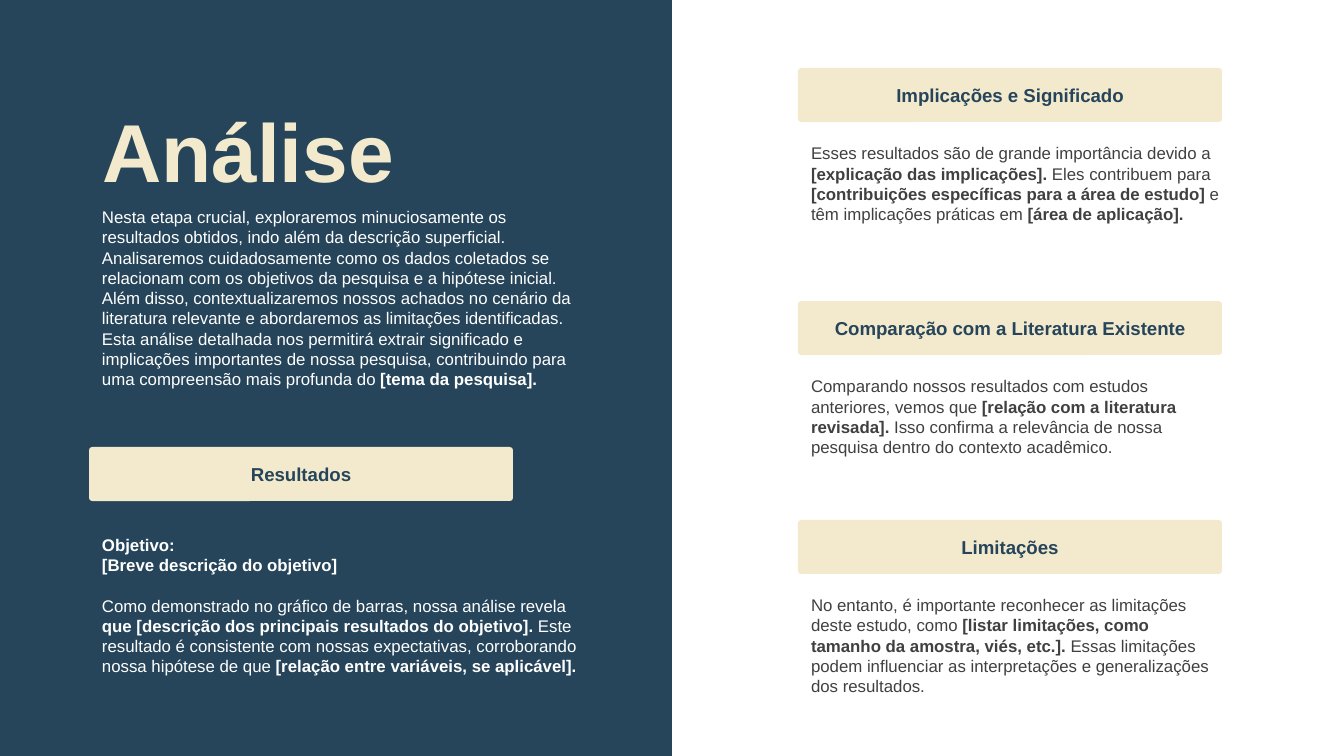
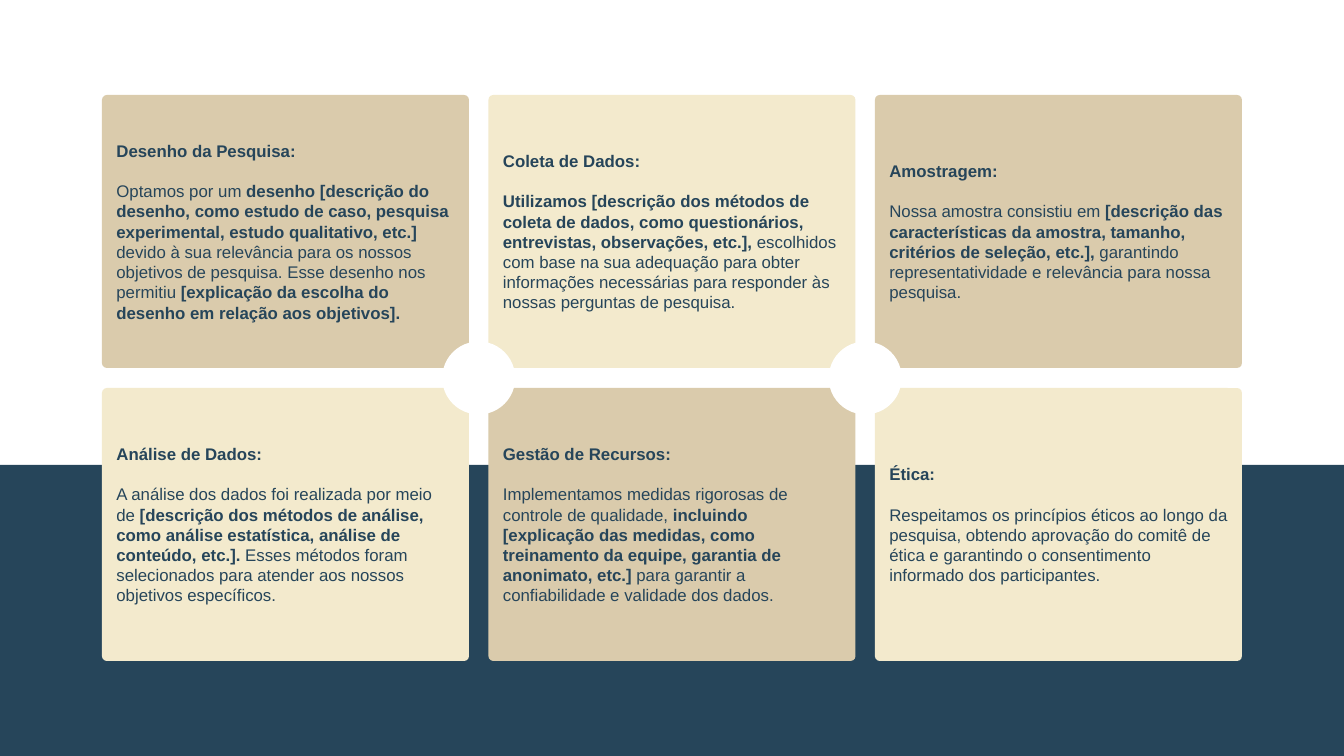
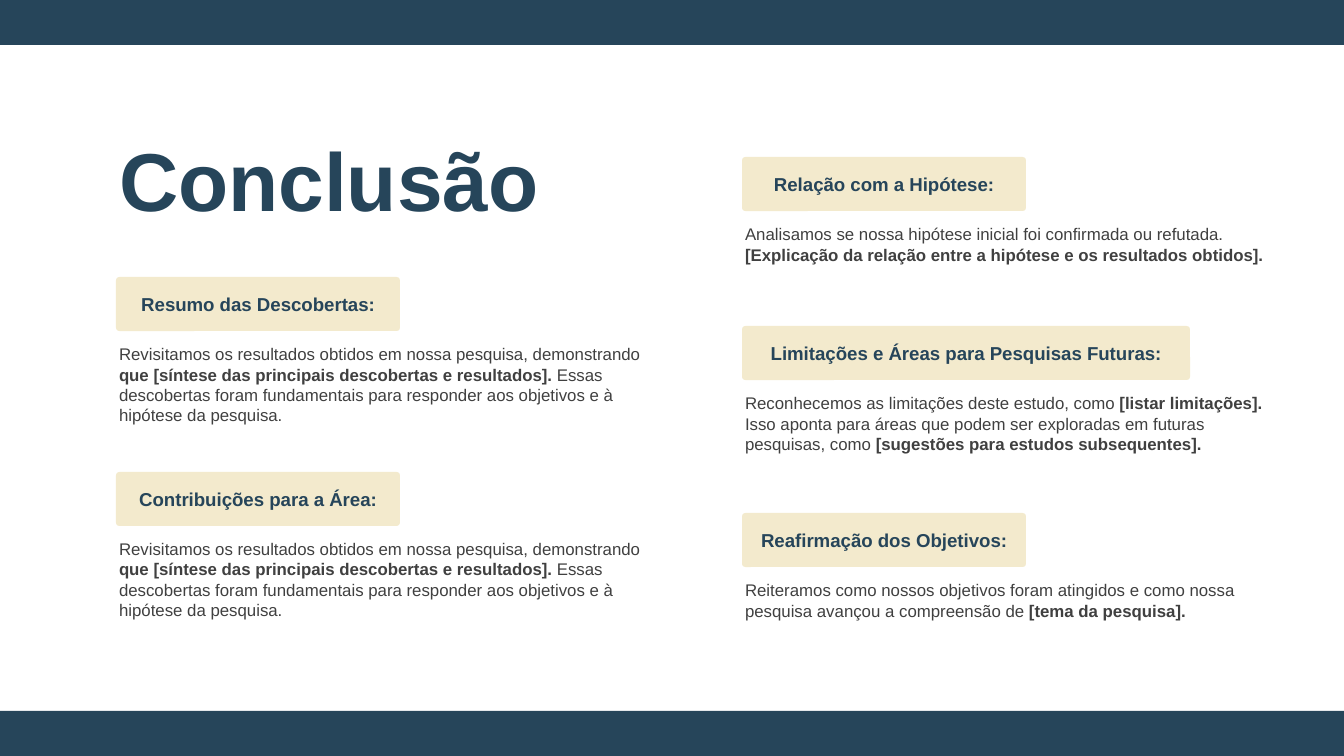
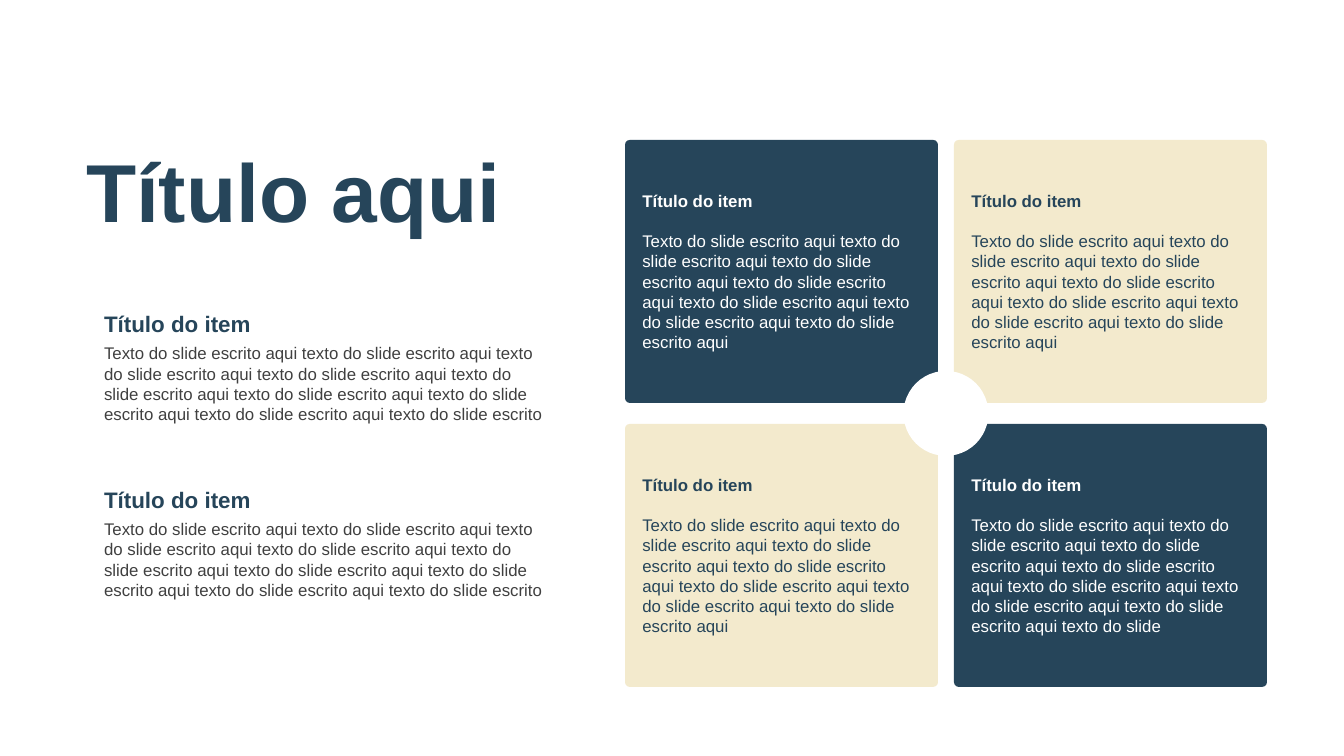
from pptx import Presentation
from pptx.dml.color import RGBColor
from pptx.enum.shapes import MSO_SHAPE
from pptx.enum.text import MSO_ANCHOR, MSO_AUTO_SIZE, PP_ALIGN
from pptx.util import Pt

RECT, ROUND, OVAL = MSO_SHAPE.RECTANGLE, MSO_SHAPE.ROUNDED_RECTANGLE, MSO_SHAPE.OVAL
TOP, MIDDLE = MSO_ANCHOR.TOP, MSO_ANCHOR.MIDDLE
LEFT, CENTER = PP_ALIGN.LEFT, PP_ALIGN.CENTER
GROW = MSO_AUTO_SIZE.SHAPE_TO_FIT_TEXT

NAVY = RGBColor(0x26, 0x45, 0x5A)
CREAM = RGBColor(0xF3, 0xEA, 0xCD)
SAND = RGBColor(0xDA, 0xCB, 0xAC)
GRAY = RGBColor(0x40, 0x40, 0x40)
WHITE = RGBColor(0xFF, 0xFF, 0xFF)

FONT = "Arial"
EMU_PER_PX = 914400 / 134.4
WIDTH, HEIGHT = 1344, 756
LABEL_H = 54
BODY_SIZE, LABEL_SIZE, ITEM_SIZE, TITLE_SIZE = 9, 10, 12, 44
BLANK_LINE = Pt(10.8)
LABEL_ROUNDING, CARD_ROUNDING = 0.064, 0.018
TITLE_ONLY, BLANK = 5, 6

# Content: asterisks enclose bold text

ANALYSIS_INTRO = (
    "Nesta etapa crucial, exploraremos minuciosamente os resultados obtidos, indo além da "
    "descrição superficial. Analisaremos cuidadosamente como os dados coletados se relacionam "
    "com os objetivos da pesquisa e a hipótese inicial. Além disso, contextualizaremos nossos "
    "achados no cenário da literatura relevante e abordaremos as limitações identificadas. "
    "Esta análise detalhada nos permitirá extrair significado e implicações importantes de "
    "nossa pesquisa, contribuindo para uma compreensão mais profunda do *[tema da pesquisa].*")
RESULTS = [
    "*Objetivo:*",
    "*[Breve descrição do objetivo]*",
    "Como demonstrado no gráfico de barras, nossa análise revela *que [descrição dos principais "
    "resultados do objetivo]. *Este resultado é consistente com nossas expectativas, "
    "corroborando nossa hipótese de que *[relação entre variáveis, se aplicável].*",
]
# label, top, text height, text
ANALYSIS_SECTIONS = [
    ("Implicações e Significado", 68, 95,
     "Esses resultados são de grande importância devido a *[explicação das implicações]. *"
     "Eles contribuem para *[contribuições específicas para a área de estudo] *e têm "
     "implicações práticas em *[área de aplicação].*"),
    ("Comparação com a Literatura Existente", 301, 95,
     "Comparando nossos resultados com estudos anteriores, vemos que *[relação com a "
     "literatura revisada]. *Isso confirma a relevância de nossa pesquisa dentro do "
     "contexto acadêmico."),
    ("Limitações", 520, 116,
     "No entanto, é importante reconhecer as limitações deste estudo, como *[listar "
     "limitações, como tamanho da amostra, viés, etc.]. *Essas limitações podem influenciar "
     "as interpretações e generalizações dos resultados."),
]

METHOD_CARDS = [
    ("Desenho da Pesquisa:",
     "Optamos por um *desenho [descrição do desenho, como estudo de caso, pesquisa "
     "experimental, estudo qualitativo, etc.] *devido à sua relevância para os nossos "
     "objetivos de pesquisa. Esse desenho nos permitiu *[explicação da escolha do desenho "
     "em relação aos objetivos].*"),
    ("Coleta de Dados:",
     "*Utilizamos [descrição dos métodos de coleta de dados, como questionários, entrevistas, "
     "observações, etc.], *escolhidos com base na sua adequação para obter informações "
     "necessárias para responder às nossas perguntas de pesquisa."),
    ("Amostragem:",
     "Nossa amostra consistiu em *[descrição das características da amostra, tamanho, "
     "critérios de seleção, etc.], *garantindo representatividade e relevância para nossa "
     "pesquisa."),
    ("Análise de Dados:",
     "A análise dos dados foi realizada por meio de *[descrição dos métodos de análise, como "
     "análise estatística, análise de conteúdo, etc.]. *Esses métodos foram selecionados para "
     "atender aos nossos objetivos específicos."),
    ("Gestão de Recursos:",
     "Implementamos medidas rigorosas de controle de qualidade, *incluindo [explicação das "
     "medidas, como treinamento da equipe, garantia de anonimato, etc.]* para garantir a "
     "confiabilidade e validade dos dados."),
    ("Ética:",
     "Respeitamos os princípios éticos ao longo da pesquisa, obtendo aprovação do comitê de "
     "ética e garantindo o consentimento informado dos participantes."),
]

FINDINGS = (
    "Revisitamos os resultados obtidos em nossa pesquisa, demonstrando *que [síntese das "
    "principais descobertas e resultados]. *Essas descobertas foram fundamentais para "
    "responder aos objetivos e à hipótese da pesquisa.")
# label, left, top, label width, text height, text
CONCLUSION_SECTIONS = [
    ("Resumo das Descobertas:", 116, 277, 284, 95, FINDINGS),
    ("Contribuições para a Área:", 116, 472, 284, 95, FINDINGS),
    ("Relação com a Hipótese:", 742, 157, 284, 54,
     "Analisamos se nossa hipótese inicial foi confirmada ou refutada. *[Explicação da "
     "relação entre a hipótese e os resultados obtidos].*"),
    ("Limitações e Áreas para Pesquisas Futuras:", 742, 326, 448, 75,
     "Reconhecemos as limitações deste estudo, como *[listar limitações]. *Isso aponta para "
     "áreas que podem ser exploradas em futuras pesquisas, como *[sugestões para estudos "
     "subsequentes].*"),
    ("Reafirmação dos Objetivos:", 742, 513, 284, 54,
     "Reiteramos como nossos objetivos foram atingidos e como nossa pesquisa avançou a "
     "compreensão de *[tema da pesquisa].*"),
]

ITEM_TITLE = "Título do item"
PHRASE = "exto do slide escrito aqui"
CARD_FILLER = "T" + " t".join([PHRASE] * 7)
ITEM_FILLER = "T" + " t".join([PHRASE] * 8) + " texto do slide escrito"
ITEM_CARDS = [(ITEM_TITLE, CARD_FILLER)] * 3 + [(ITEM_TITLE, CARD_FILLER + " texto do slide")]
ITEM_TOPS = [303, 479]


# Shared building blocks

def emu(*lengths):
    return [round(length * EMU_PER_PX) for length in lengths]


def write(box, paragraphs, size, color, align=LEFT, anchor=TOP, insets=(13, 7), gap_at=None):
    """Fill a box with marked-up paragraphs; gap_at gets a line of space before it."""
    frame = box.text_frame
    frame.word_wrap = True
    frame.vertical_anchor = anchor
    frame.margin_left = frame.margin_right = emu(insets[0])[0]
    frame.margin_top = frame.margin_bottom = emu(insets[1])[0]
    for index, text in enumerate(paragraphs):
        para = frame.paragraphs[0] if index == 0 else frame.add_paragraph()
        para.alignment = align
        if index == gap_at:
            para.space_before = BLANK_LINE
        for part, words in enumerate(text.split("*")):
            if words:
                span = para.add_run()
                span.text = words
                span.font.name = FONT
                span.font.size = Pt(size)
                span.font.bold = part % 2 == 1
                span.font.color.rgb = color
    return frame


def add_block(page, kind, area, fill, rounding=None):
    block = page.shapes.add_shape(kind, *emu(*area))
    block.shadow.inherit = False
    block.fill.solid()
    block.fill.fore_color.rgb = fill
    block.line.fill.background()
    if rounding is not None:
        block.adjustments[0] = rounding
    return block


def add_text(page, area, paragraphs, size=BODY_SIZE, color=GRAY, gap_at=None):
    box = page.shapes.add_textbox(*emu(*area))
    write(box, paragraphs, size, color, gap_at=gap_at).auto_size = GROW


def add_label(page, left, top, width, text):
    label = add_block(page, ROUND, (left, top, width, LABEL_H), CREAM, LABEL_ROUNDING)
    write(label, [f"*{text}*"], LABEL_SIZE, NAVY, CENTER, MIDDLE)


def set_title(page, left, top, width, text, color=NAVY):
    title = page.shapes.title
    title.left, title.top, title.width, title.height = emu(left, top, width, 98)
    frame = write(title, [f"*{text}*"], TITLE_SIZE, color, anchor=MIDDLE, insets=(13, 13))
    frame.auto_size = GROW
    frame.paragraphs[0].line_spacing = 0.7
    page.shapes._spTree.append(title._element)  # bring in front of the panel


def add_card_grid(page, cards, columns, origin, size, pitch, hole, fills, inks, insets):
    """Cards in alternating colours, with a white circle at each inner crossing."""
    for index, (heading, text) in enumerate(cards):
        row, column = divmod(index, columns)
        shade = (row + column) % 2
        area = (origin[0] + column * pitch[0], origin[1] + row * pitch[1], *size)
        card = add_block(page, ROUND, area, fills[shade], CARD_ROUNDING)
        write(card, [f"*{heading}*", text], BODY_SIZE, inks[shade],
              anchor=MIDDLE, insets=insets, gap_at=1)
    for column in range(1, columns):
        center_x = origin[0] + column * pitch[0] - (pitch[0] - size[0]) / 2
        center_y = origin[1] + (pitch[1] + size[1]) / 2
        add_block(page, OVAL, (center_x - hole / 2, center_y - hole / 2, hole, hole), WHITE)


# Slides

def build_analysis(page):
    left, right, label_w = 89, 798, 424
    add_block(page, RECT, (0, 0, WIDTH / 2, HEIGHT), NAVY)
    set_title(page, left, 113, 567, "Análise", CREAM)
    add_text(page, (left, 200, 507, 196), [ANALYSIS_INTRO], color=WHITE)
    add_label(page, left, 447, label_w, "Resultados")
    add_text(page, (left, 528, 507, 156), RESULTS, color=WHITE, gap_at=2)
    for label, top, text_h, text in ANALYSIS_SECTIONS:
        add_label(page, right, top, label_w, label)
        add_text(page, (right, top + 68, 435, text_h), [text])


def build_methods(page):
    margin, card_w, card_h = 102, 367, 273
    pitch_x = (WIDTH - 2 * margin - card_w) / 2
    add_block(page, RECT, (0, 465, WIDTH, HEIGHT - 465), NAVY)
    add_card_grid(page, METHOD_CARDS, 3, (margin, 95), (card_w, card_h), (pitch_x, 293), 73,
                  (SAND, CREAM), (NAVY, NAVY), (13, 7))


def build_conclusion(page):
    bar_h = 45
    for top in (0, HEIGHT - bar_h):
        add_block(page, RECT, (0, top, WIDTH, bar_h), NAVY)
    set_title(page, 106, 142, 567, "Conclusão")
    for label, left, top, label_w, text_h, text in CONCLUSION_SECTIONS:
        add_label(page, left, top, label_w, label)
        add_text(page, (left - 10, top + 60, 566, text_h), [text])


def build_items(page):
    add_card_grid(page, ITEM_CARDS, 2, (625, 140), (313, 263), (329, 284), 85,
                  (NAVY, CREAM), (WHITE, NAVY), (16, 11))
    set_title(page, 73, 153, 466, "Título aqui")
    for top in ITEM_TOPS:
        add_text(page, (91, top + 33, 466, 95), [ITEM_FILLER])
        add_text(page, (91, top, 508, 40), [f"*{ITEM_TITLE}*"], ITEM_SIZE, NAVY)


def main():
    deck = Presentation()
    deck.slide_width, deck.slide_height = emu(WIDTH, HEIGHT)
    for build, layout in [(build_analysis, TITLE_ONLY), (build_methods, BLANK),
                          (build_conclusion, TITLE_ONLY), (build_items, TITLE_ONLY)]:
        build(deck.slides.add_slide(deck.slide_layouts[layout]))
    deck.save("out.pptx")


if __name__ == "__main__":
    main()
